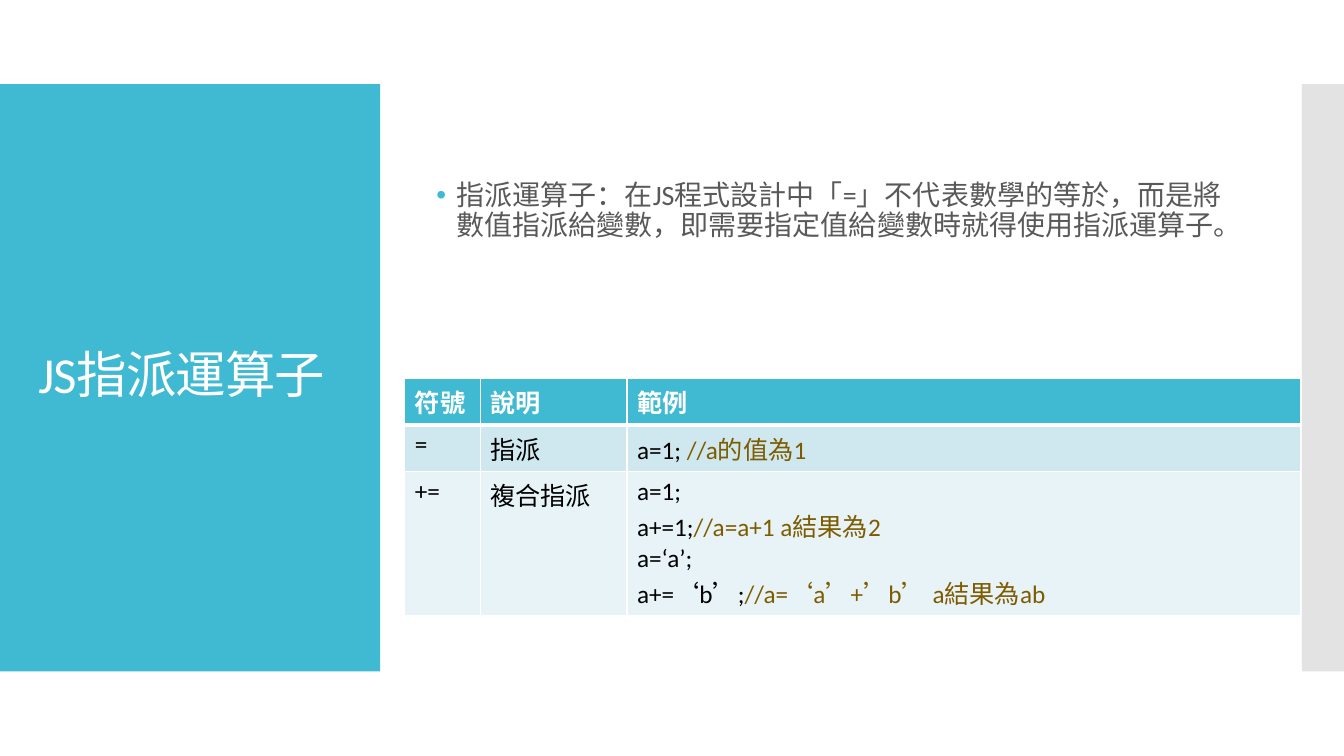
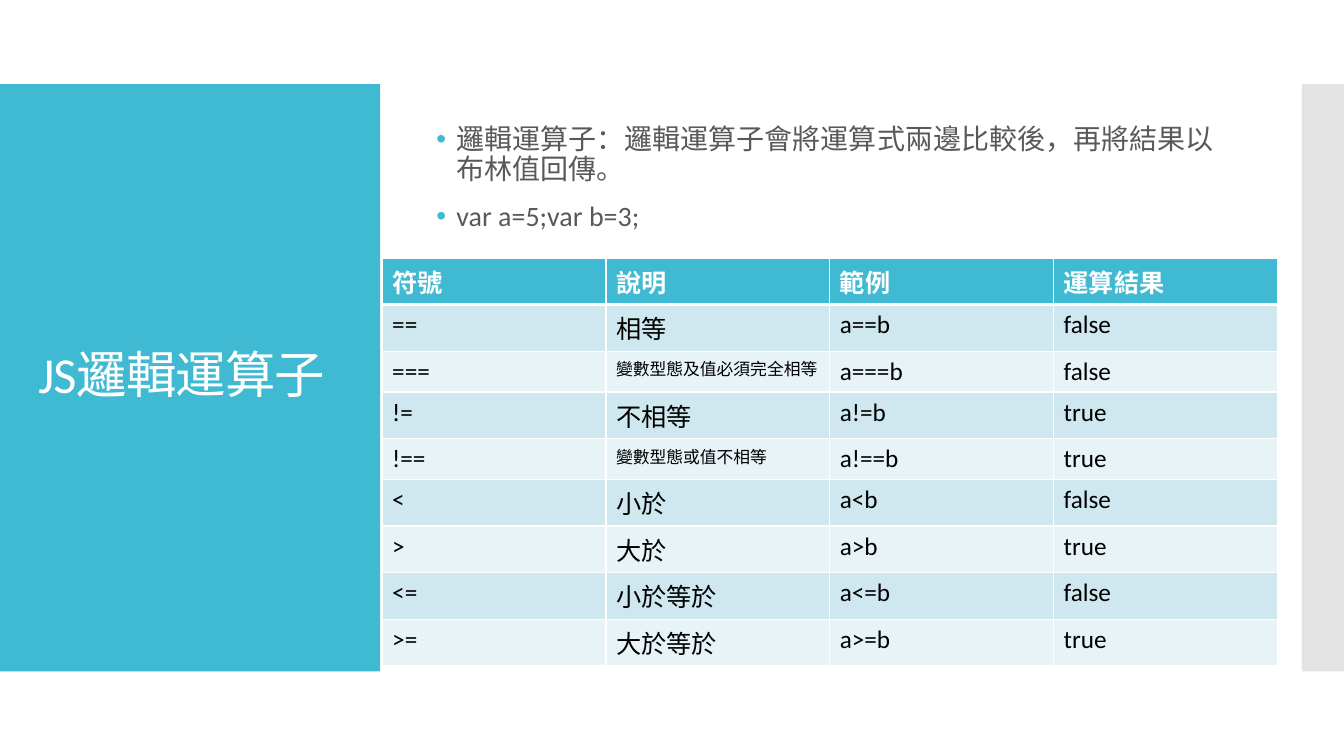
"""Build two slides on JavaScript assignment and logic operators."""
from lxml import etree
from pptx import Presentation
from pptx import util as u
from pptx.dml.color import RGBColor
from pptx.enum import shapes, text
from pptx.oxml import parse_xml
from pptx.oxml.ns import nsdecls, qn

HUES = {
    "teal": "40BAD2", "gray": "C8C8C8", "white": "FFFFFF", "body": "595959",
    "black": "000000", "note": "7D5C00", "odd": "CFE7EE", "even": "E8F3F7",
}
FONT = "Calibri"
TITLE = f"""<a:lvl1pPr {nsdecls("a")} algn="l"><a:lnSpc><a:spcPct val="90000"/></a:lnSpc>
<a:defRPr sz="3600" spc="-60"><a:solidFill><a:srgbClr val="{HUES["white"]}"/></a:solidFill>
<a:latin typeface="{FONT}"/></a:defRPr></a:lvl1pPr>"""
LIST = f"""<a:lvl1pPr {nsdecls("a")} marL="182880" indent="-182880" algn="l">
<a:lnSpc><a:spcPct val="90000"/></a:lnSpc><a:spcBef><a:spcPts val="1200"/></a:spcBef>
<a:buClr><a:srgbClr val="{HUES["teal"]}"/></a:buClr><a:buFont typeface="Arial"/><a:buChar char="•"/>
<a:defRPr sz="2000"><a:solidFill><a:srgbClr val="{HUES["body"]}"/></a:solidFill>
<a:latin typeface="{FONT}"/></a:defRPr></a:lvl1pPr>"""

PAGES = [
    {
        "title": "JS指派運算子",
        "list": ["指派運算子：在JS程式設計中「=」不代表數學的等於，而是將數值指派給變數，"
                 "即需要指定值給變數時就得使用指派運算子。"],
        "box": (4.57, 4.8),
        "at": (10.2, 9.53),
        "cols": [1.9, 3.7, 16.98],
        "rows": [
            ["符號", "說明", "範例"],
            ["=", "指派", "a=1; //a的值為1"],
            ["+=", "複合指派",
             "a=1;\na+=1;//a=a+1 a結果為2\na=‘a’;\na+=‘b’;//a=‘a’+’b’ a結果為ab"],
        ],
    },
    {
        "title": "JS邏輯運算子",
        "list": ["邏輯運算子：邏輯運算子會將運算式兩邊比較後，再將結果以布林值回傳。",
                 "var a=5;var b=3;"],
        "box": (3.15, 3.3),
        "at": (9.63, 6.5),
        "cols": [5.64] * 4,
        "rows": [
            ["符號", "說明", "範例", "運算結果"],
            ["==", "相等", "a==b", "false"],
            ["===", "變數型態及值必須完全相等", "a===b", "false"],
            ["!=", "不相等", "a!=b", "true"],
            ["!==", "變數型態或值不相等", "a!==b", "true"],
            ["<", "小於", "a<b", "false"],
            [">", "大於", "a>b", "true"],
            ["<=", "小於等於", "a<=b", "false"],
            [">=", "大於等於", "a>=b", "true"],
        ],
    },
]


def add_run(para, words, hue, size, bold):
    run = para.add_run()
    run.text = words
    run.font.name = FONT
    run.font.size = u.Pt(size)
    run.font.bold = bold
    run.font.color.rgb = RGBColor.from_string(HUES[hue])


def paint(cell, row):
    cell.fill.solid()
    hue = "teal" if row == 0 else "odd" if row % 2 else "even"
    cell.fill.fore_color.rgb = RGBColor.from_string(HUES[hue])
    wide = {0: "lnB", 1: "lnT"}.get(row)
    for spot, side in enumerate(("lnL", "lnR", "lnT", "lnB")):
        line = parse_xml(
            f'<a:{side} {nsdecls("a")} w="{u.Pt(3 if side == wide else 1)}"><a:solidFill>'
            f'<a:srgbClr val="{HUES["white"]}"/></a:solidFill></a:{side}>')
        cell._tc.get_or_add_tcPr().insert(spot, line)


deck = Presentation()
deck.slide_width, deck.slide_height = u.Cm(33.87), u.Cm(19.05)
base = deck.slide_layouts[1]

for hold, style, area in zip(
        base.placeholders, (TITLE, LIST),
        ((0.71, 3.12, 8.18, 12.78), (10.74, 2.39, 20.32, 14.22))):
    hold.left, hold.top, hold.width, hold.height = map(u.Cm, area)
    hold.element.find(".//" + qn("a:lstStyle")).append(parse_xml(style))

for page in PAGES:
    slide = deck.slides.add_slide(base)
    head, body = slide.placeholders
    head.text_frame.vertical_anchor = text.MSO_ANCHOR.MIDDLE
    head.text_frame.auto_size = text.MSO_AUTO_SIZE.NONE
    head.text_frame.paragraphs[0].add_run().text = page["title"]

    top, high = page["box"]
    body.left, body.top = u.Cm(10.74), u.Cm(top)
    body.width, body.height = u.Cm(20.32), u.Cm(high)
    frame = body.text_frame
    frame.vertical_anchor = text.MSO_ANCHOR.TOP
    frame.auto_size = text.MSO_AUTO_SIZE.NONE
    frame.margin_top = frame.margin_bottom = 0
    for n, words in enumerate(page["list"]):
        para = frame.add_paragraph() if n else frame.paragraphs[0]
        para.add_run().text = words

    rows, cols = page["rows"], page["cols"]
    left, top = page["at"]
    grid = slide.shapes.add_table(
        len(rows), len(cols), u.Cm(left), u.Cm(top),
        u.Cm(sum(cols)), u.Cm(1.03 * len(rows))).table
    for col, wide in zip(grid.columns, cols):
        col.width = u.Cm(wide)
    for r, row in enumerate(rows):
        grid.rows[r].height = u.Cm(1.03)
        for c, words in enumerate(row):
            cell = grid.cell(r, c)
            paint(cell, r)
            size = 12 if words.startswith("變數型態") else 18
            for n, line in enumerate(words.split("\n")):
                para = cell.text_frame.add_paragraph() if n else cell.text_frame.paragraphs[0]
                code, mark, note = line.partition("//")
                add_run(para, code, "black" if r else "white", size, r == 0)
                if mark:
                    add_run(para, mark + note, "note", size, False)

tree = base.element.cSld.spTree
for n, (hue, left, wide, alpha) in enumerate(
        (("teal", 0, 9.58, 100), ("gray", 32.81, 1.06, 50))):
    band = slide.shapes.add_shape(
        shapes.MSO_SHAPE.RECTANGLE, u.Cm(left), u.Cm(2.12), u.Cm(wide), u.Cm(14.8))
    band.shadow.inherit = False
    band.line.fill.background()
    band.fill.solid()
    band.fill.fore_color.rgb = RGBColor.from_string(HUES[hue])
    tint = band.element.spPr.find(".//" + qn("a:srgbClr"))
    etree.SubElement(tint, qn("a:alpha"), val=str(alpha * 1000))
    band.element.nvSpPr.cNvPr.set("id", str(20 + n))
    tree.insert(2 + n, band.element)

deck.save("out.pptx")
